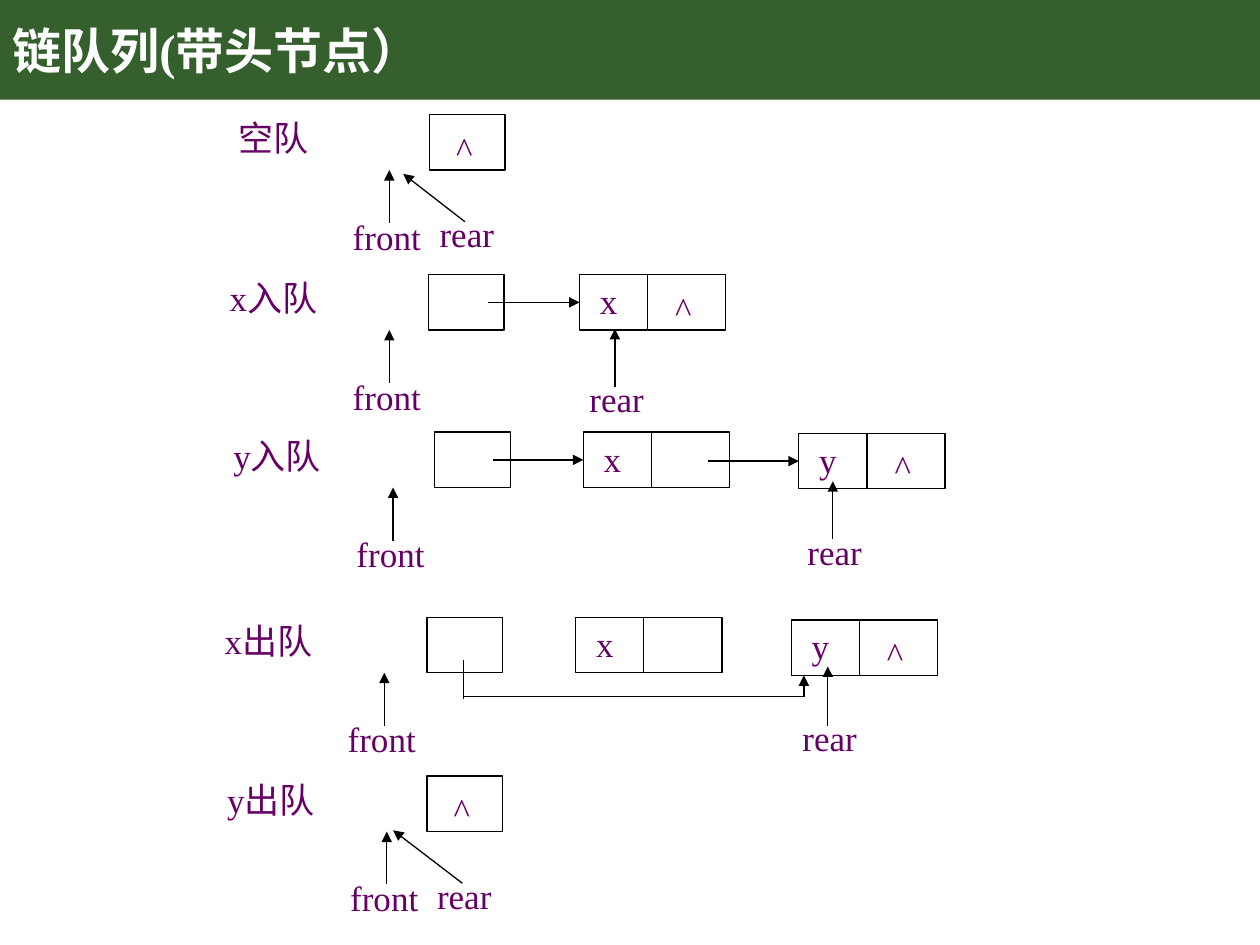
from dataclasses import dataclass

from lxml import etree
from pptx import Presentation
from pptx.dml.color import RGBColor
from pptx.enum.shapes import MSO_CONNECTOR, MSO_SHAPE
from pptx.enum.text import MSO_ANCHOR, PP_ALIGN
from pptx.oxml.ns import qn
from pptx.util import Inches, Pt


@dataclass(frozen=True)
class Theme:
    band: RGBColor = RGBColor.from_string("365F2E")
    title: RGBColor = RGBColor.from_string("FFFFFF")
    text: RGBColor = RGBColor.from_string("660066")
    line: RGBColor = RGBColor.from_string("000000")
    font: str = "Times New Roman"
    title_size: Pt = Pt(28)
    text_size: Pt = Pt(20)
    line_width: Pt = Pt(0.75)


theme = Theme()


def add_text(shapes, text, left, top, width, wrap=False):
    box = shapes.add_textbox(Inches(left), Inches(top), Inches(width), Inches(0.43))
    frame = box.text_frame
    frame.word_wrap = wrap
    frame.vertical_anchor = MSO_ANCHOR.MIDDLE
    paragraph = frame.paragraphs[0]
    paragraph.text = text
    paragraph.alignment = PP_ALIGN.CENTER
    paragraph.font.name = theme.font
    paragraph.font.size = theme.text_size
    paragraph.font.color.rgb = theme.text


def add_line(shapes, start, end, arrow=True):
    points = [Inches(value) for value in (*start, *end)]
    connector = shapes.add_connector(MSO_CONNECTOR.STRAIGHT, *points)
    connector.line.color.rgb = theme.line
    connector.line.width = theme.line_width
    if arrow:
        outline = connector.line._get_or_add_ln()
        etree.SubElement(outline, qn("a:tailEnd"), type="triangle")
    etree.SubElement(connector.element.spPr, qn("a:effectLst"))
    return connector


presentation = Presentation()
presentation.slide_width = Inches(10)
presentation.slide_height = Inches(7.5)
slide = presentation.slides.add_slide(presentation.slide_layouts[5])

title = slide.shapes.title
title.left, title.top = Inches(0), Inches(0)
title.width, title.height = Inches(8.62), Inches(0.79)
title.text_frame.vertical_anchor = MSO_ANCHOR.MIDDLE
paragraph = title.text_frame.paragraphs[0]
paragraph.text = "链队列(带头节点）"
paragraph.alignment = PP_ALIGN.LEFT
paragraph.font.name = theme.font
paragraph.font.size = theme.title_size
paragraph.font.bold = True
paragraph.font.color.rgb = theme.title

band = slide.shapes.add_shape(MSO_SHAPE.RECTANGLE, 0, 0, Inches(10), Inches(0.79))
band.shadow.inherit = False
band.fill.solid()
band.fill.fore_color.rgb = theme.band
band.line.fill.background()
title.element.addprevious(band.element)

# label, label left, label width, top, head left, front left, rear arrow start and end,
# nodes: letter, left, top, start of the incoming link
queues = [
    ("x入队", 1.72, 0.9, 2.18, 3.4, 2.7, (4.88, 3.07), (4.88, 2.61),
     [("x", 4.6, 2.18, 3.87)]),
    ("y入队", 1.75, 0.9, 3.43, 3.45, 2.73, (6.61, 4.28), (6.61, 3.82),
     [("x", 4.63, 3.43, 3.91), ("y", 6.34, 3.44, 5.62)]),
    ("x出队", 1.68, 0.9, 4.9, 3.39, 2.66, (6.57, 5.76), (6.57, 5.29),
     [("x", 4.57, 4.9, None), ("y", 6.28, 4.92, None)]),
    ("空队", 1.79, 0.76, 0.91, 3.41, 2.7, (3.69, 1.76), (3.2, 1.38), []),
    ("y出队", 1.7, 0.9, 6.16, 3.39, 2.68, (3.67, 7.01), (3.12, 6.59), []),
]

for label, label_left, label_width, top, head_left, front_left, rear_start, rear_end, nodes in queues:
    shapes = slide.shapes.add_group_shape().shapes
    boxes = [(head_left, top, 0.6)] + [(left, node_top, 1.16) for _, left, node_top, _ in nodes]
    cells = []
    for left, box_top, width in boxes:
        cell = shapes.add_shape(
            MSO_SHAPE.RECTANGLE, Inches(left), Inches(box_top), Inches(width), Inches(0.44))
        cell.shadow.inherit = False
        cell.fill.background()
        cell.line.color.rgb = theme.line
        cell.line.width = theme.line_width
        cells.append(cell)

    add_text(shapes, label, label_left, top - 0.03, label_width, wrap=len(label) == 3)
    add_text(shapes, "front", front_left, top + 0.75, 0.74)
    add_line(shapes, (front_left + 0.39, top + 0.86), (front_left + 0.39, top + 0.44))
    add_text(shapes, "rear", rear_start[0] - 0.3, rear_start[1] - 0.12, 0.63)
    add_line(shapes, rear_start, rear_end)

    for (letter, left, node_top, link_start), cell in zip(nodes, cells[1:]):
        add_line(shapes, (left + 0.54, node_top), (left + 0.54, node_top + 0.44), arrow=False)
        add_text(shapes, letter, left + 0.06, node_top - 0.01, 0.34)
        if link_start:
            middle = node_top + 0.22
            link = add_line(shapes, (link_start, middle), (left, middle))
            link.end_connect(cell, 1)

    last_left, last_top, _ = boxes[-1]
    add_text(shapes, "^", last_left + (0.66 if nodes else 0.11), last_top + 0.05, 0.33)

    if label == "x出队":
        add_line(shapes, (3.68, 5.24), (3.68, 5.55), arrow=False)
        add_line(shapes, (3.68, 5.53), (6.38, 5.53), arrow=False)
        add_line(shapes, (6.38, 5.53), (6.38, 5.36))

presentation.save("out.pptx")
